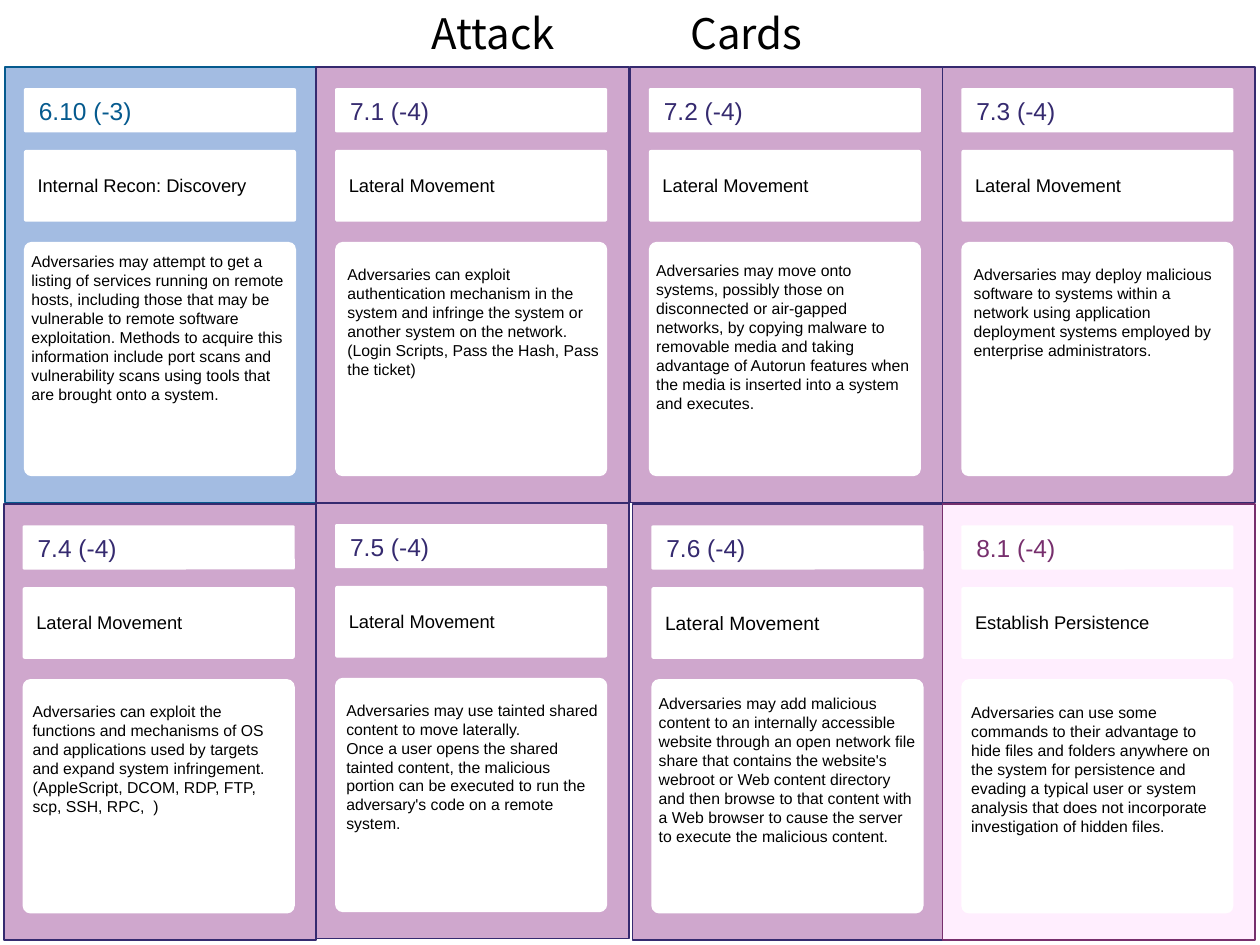
"""Build a slide with two rows of four attack cards."""
from lxml import etree
from pptx import Presentation
from pptx import util as u
from pptx.dml.color import RGBColor
from pptx.enum import shapes, text
from pptx.oxml import ns

PX = 9144
BLACK = RGBColor(0x00, 0x00, 0x00)
WHITE = RGBColor(0xFF, 0xFF, 0xFF)
RECON = (RGBColor(0xA3, 0xBC, 0xE2), RGBColor(0x05, 0x5A, 0x8E))
MOVEMENT = (RGBColor(0xCF, 0xA7, 0xCD), RGBColor(0x35, 0x2A, 0x6F))
PERSISTENCE = (RGBColor(0xFF, 0xEE, 0xFE), RGBColor(0x77, 0x2F, 0x6D))

deck = Presentation()
deck.slide_width, deck.slide_height = 1000 * PX, 750 * PX
slide = deck.slides.add_slide(deck.slide_layouts[6])


def add_text(wording, left, top, width, height, size=9, color=BLACK,
             font="Arial", tab=None):
    box = slide.shapes.add_textbox(left * PX, top * PX, width * PX, height * PX)
    frame = box.text_frame
    frame.text = wording
    frame.word_wrap = True
    frame.auto_size = text.MSO_AUTO_SIZE.SHAPE_TO_FIT_TEXT
    for paragraph in frame.paragraphs:
        paragraph.alignment = text.PP_ALIGN.LEFT
        if tab is not None:
            properties = paragraph._p.get_or_add_pPr()
            stops = etree.SubElement(properties, ns.qn("a:tabLst"))
            etree.SubElement(stops, ns.qn("a:tab"), pos=str(tab * PX), algn="l")
        for run in paragraph.runs:
            run.font.size = u.Pt(size)
            run.font.name = font
            run.font.color.rgb = color


def add_panel(preset, left, top, width, height, fill, border=None):
    panel = slide.shapes.add_shape(preset, left * PX, top * PX, width * PX, height * PX)
    panel.shadow.inherit = False
    panel.fill.solid()
    panel.fill.fore_color.rgb = fill
    if border is None:
        panel.line.fill.background()
        panel.adjustments[0] = 0.033
    else:
        panel.line.color.rgb = border
        panel.line.width = u.Pt(1)


add_text("Attack\tCards", 333, 1, 314, 50, size=24, font="Noto Sans CJK JP", tab=205)

cards = [
    (4, 53, RECON, "6.10 (-3)", "Internal Recon: Discovery", 10.5, (15, 195, 228, 131),
     "Adversaries may attempt to get a listing of services running on remote hosts, "
     "including those that may be vulnerable to remote software exploitation. Methods to "
     "acquire this information include port scans and vulnerability scans using tools that "
     "are brought onto a system."),
    (251, 53, MOVEMENT, "7.1 (-4)", "Lateral Movement", 10.5, (266, 205, 227, 101),
     "Adversaries can exploit authentication mechanism in the system and infringe the "
     "system or another system on the network.\n"
     "(Login Scripts, Pass the Hash, Pass the ticket)"),
    (500, 53, MOVEMENT, "7.2 (-4)", "Lateral Movement", 10.5, (511, 202, 226, 116),
     "Adversaries may move onto systems, possibly those on disconnected or air-gapped "
     "networks, by copying malware to removable media and taking advantage of Autorun "
     "features when the media is inserted into a system and executes."),
    (748, 53, MOVEMENT, "7.3 (-4)", "Lateral Movement", 10.5, (763, 205, 223, 86),
     "Adversaries may deploy malicious software to systems within a network using "
     "application deployment systems employed by enterprise administrators."),
    (3, 400, MOVEMENT, "7.4 (-4)", "Lateral Movement", 10.5, (16, 552, 222, 101),
     "Adversaries can exploit the functions and mechanisms of OS and applications used by "
     "targets and expand system infringement.\n"
     "(AppleScript, DCOM, RDP, FTP, scp, SSH, RPC,  )"),
    (251, 399, MOVEMENT, "7.5 (-4)", "Lateral Movement", 10.5, (265, 551, 222, 116),
     "Adversaries may use tainted shared content to move laterally.\n"
     "Once a user opens the shared tainted content, the malicious portion can be executed "
     "to run the adversary's code on a remote system."),
    (502, 400, MOVEMENT, "7.6 (-4)", "Lateral Movement", 11, (513, 546, 226, 131),
     "Adversaries may add malicious content to an internally accessible website through an "
     "open network file share that contains the website's webroot or Web content directory "
     "and then browse to that content with a Web browser to cause the server to execute "
     "the malicious content."),
    (748, 400, PERSISTENCE, "8.1 (-4)", "Establish Persistence", 10.5, (761, 553, 223, 116),
     "Adversaries can use some commands to their advantage to hide files and folders "
     "anywhere on the system for persistence and evading a typical user or system analysis "
     "that does not incorporate investigation of hidden files."),
]

for left, top, (fill, accent), code, tactic, tactic_size, place, description in cards:
    add_panel(shapes.MSO_SHAPE.RECTANGLE, left, top, 248, 346, fill, accent)
    for offset, height in ((66, 57), (139, 186), (17, 35)):
        add_panel(shapes.MSO_SHAPE.ROUNDED_RECTANGLE, left + 15, top + offset, 216, height, WHITE)
    add_text(description, *place)
    add_text(code, left + 17, top + 18, 119, 34, size=14, color=accent)
    add_text(tactic, left + 16, top + 80, 214, 29, size=tactic_size)

deck.save("out.pptx")
